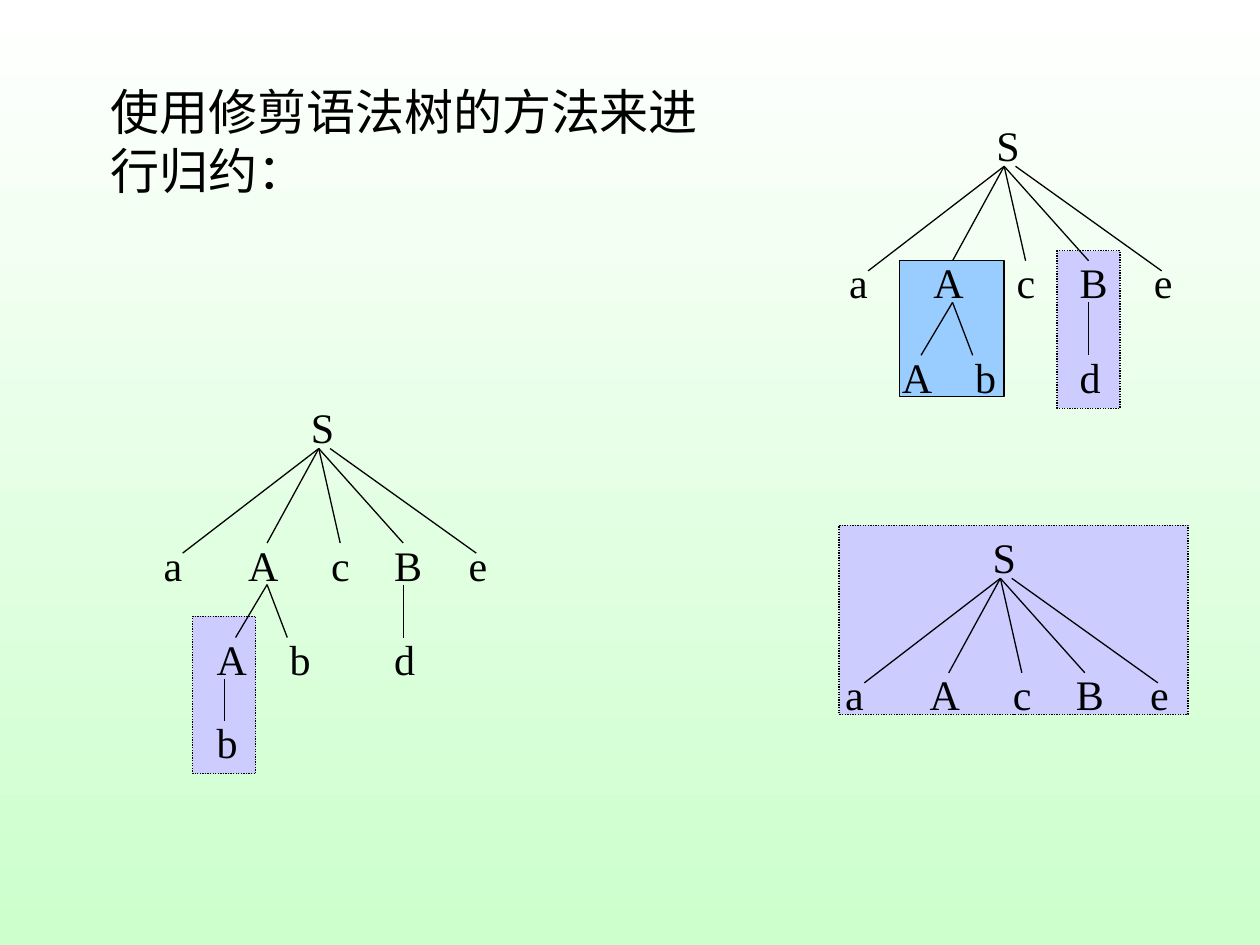
from lxml import etree
from pptx import Presentation
from pptx.dml.color import RGBColor
from pptx.enum.dml import MSO_LINE
from pptx.enum.shapes import MSO_CONNECTOR, MSO_SHAPE
from pptx.enum.text import MSO_AUTO_SIZE
from pptx.oxml.ns import qn
from pptx.util import Inches, Pt

# Label: text, left, top, width. Branch: from x, y, to x, y.
BASE_LABELS = [
    ("S", 1.17, 0, 0.5),
    ("a", 0, 1.09, 0.33),
    ("A", 0.67, 1.09, 0.42),
    ("c", 1.33, 1.09, 0.42),
    ("B", 1.83, 1.09, 0.42),
    ("e", 2.42, 1.09, 0.58),
]
BASE_BRANCHES = [
    (1.33, 0.42, 0.25, 1.25),
    (1.33, 0.42, 0.92, 1.17),
    (1.33, 0.42, 1.5, 1.17),
    (1.33, 0.42, 2, 1.17),
    (1.42, 0.42, 2.58, 1.25),
]
MID_LABELS = [
    ("A", 0.42, 1.84, 0.42),
    ("b", 1, 1.84, 0.42),
    ("d", 1.83, 1.84, 0.42),
]
MID_BRANCHES = [
    (0.92, 1.5, 0.67, 1.92),
    (0.92, 1.5, 1.08, 1.92),
    (2, 1.5, 2, 1.92),
]
LOW_LABELS = [("b", 0.42, 2.5, 0.42)]
LOW_BRANCHES = [(0.58, 2.25, 0.58, 2.58)]


def color(code):
    return RGBColor.from_string(code)


def add_text(shapes, text, left, top, width, height, size=24, grow=True):
    box = shapes.add_textbox(Inches(left), Inches(top), Inches(width), Inches(height))
    frame = box.text_frame
    frame.word_wrap = True
    frame.auto_size = MSO_AUTO_SIZE.SHAPE_TO_FIT_TEXT if grow else MSO_AUTO_SIZE.NONE
    run = frame.paragraphs[0].add_run()
    run.text = text
    run.font.name = "Times New Roman"
    run.font.size = Pt(size)
    run.font.color.rgb = color("000000")


def add_branch(shapes, x1, y1, x2, y2):
    line = shapes.add_connector(
        MSO_CONNECTOR.STRAIGHT, Inches(x1), Inches(y1), Inches(x2), Inches(y2))
    line.line.color.rgb = color("000000")
    line.line.width = Pt(0.75)
    etree.SubElement(line._element.spPr, qn("a:effectLst"))


def add_handle(shapes, left, top, width, height, fill="CCCCFF", dash=MSO_LINE.ROUND_DOT):
    """Mark the part of a tree that is reduced next."""
    box = shapes.add_shape(
        MSO_SHAPE.RECTANGLE, Inches(left), Inches(top), Inches(width), Inches(height))
    box.shadow.inherit = False
    box.fill.solid()
    box.fill.fore_color.rgb = color(fill)
    box.line.color.rgb = color("000000")
    box.line.width = Pt(0.75)
    box.line.dash_style = dash


def add_tree(slide, left, top, labels, branches):
    shapes = slide.shapes.add_group_shape().shapes
    for text, x, y, width in labels:
        add_text(shapes, text, left + x, top + y, width, 0.5)
    for x1, y1, x2, y2 in branches:
        add_branch(shapes, left + x1, top + y1, left + x2, top + y2)


def paint_back(slide):
    fill = slide.background.fill
    fill.gradient()
    fill.gradient_angle = 270
    for stop, place, code in zip(fill.gradient_stops, (0, 1), ("FFFFFF", "CCFFCC")):
        stop.position = place
        stop.color.rgb = color(code)


def main():
    deck = Presentation()
    deck.slide_width, deck.slide_height = Inches(10), Inches(7.5)
    slide = deck.slides.add_slide(deck.slide_layouts[6])
    paint_back(slide)

    add_handle(slide.shapes, 6.66, 4.17, 2.77, 1.5)
    add_handle(slide.shapes, 8.39, 1.99, 0.5, 1.25)
    add_handle(slide.shapes, 7.14, 2.07, 0.83, 1.08, fill="99CCFF", dash=None)
    add_handle(slide.shapes, 1.53, 4.89, 0.5, 1.25)

    add_text(slide.shapes, "使用修剪语法树的方法来进行归约：",
             0.78, 0.6, 4.88, 1.56, size=28, grow=False)

    mid_labels = BASE_LABELS + MID_LABELS
    mid_branches = BASE_BRANCHES + MID_BRANCHES
    add_tree(slide, 6.64, 0.9, mid_labels, mid_branches)
    add_tree(slide, 1.2, 3.14, mid_labels + LOW_LABELS, mid_branches + LOW_BRANCHES)
    add_tree(slide, 6.61, 4.17, BASE_LABELS, BASE_BRANCHES)

    deck.save("out.pptx")


if __name__ == "__main__":
    main()
